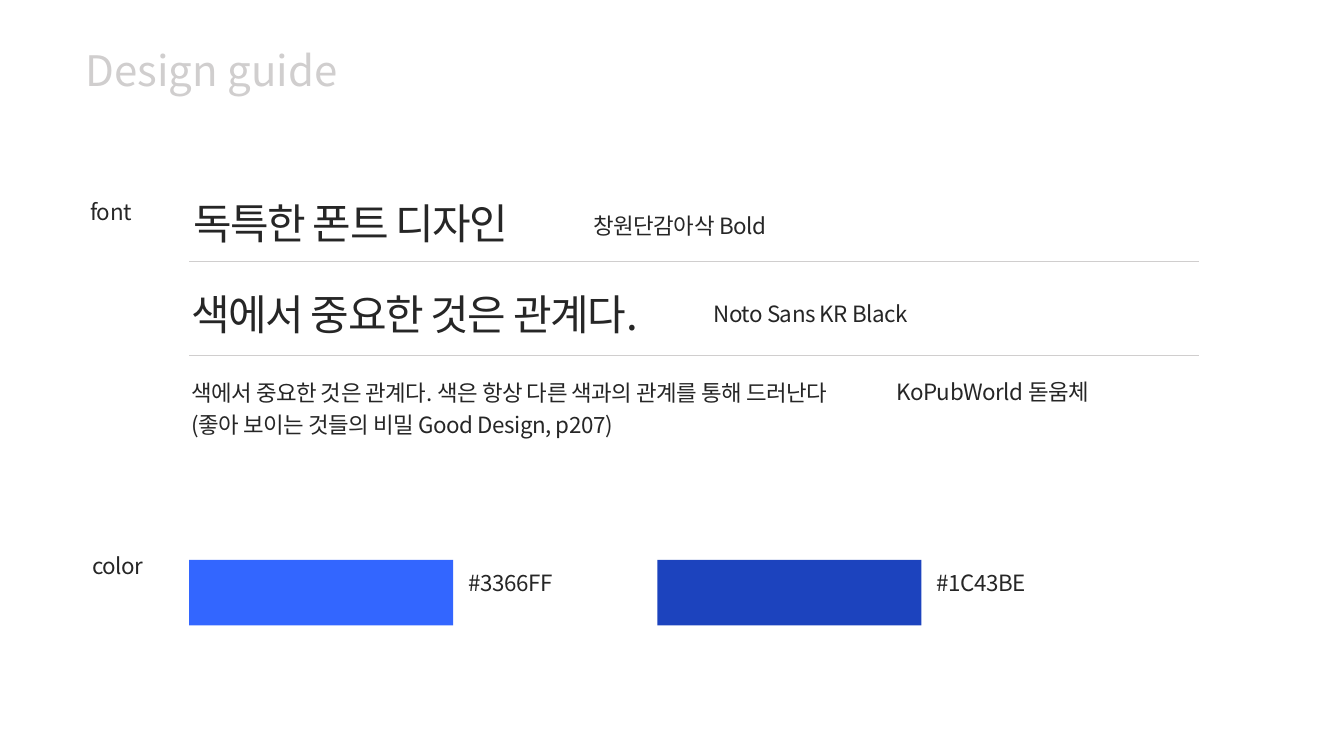
from lxml import etree
from pptx import Presentation, util as u
from pptx.dml.color import RGBColor
from pptx.enum import shapes, text
from pptx.oxml.ns import qn

FACE = "Noto Sans CJK KR"
INK, PALE = "262626", "D0CECE"
LEFT, RIGHT = 4.77, 30.22

TITLE = "Design guide"
# left, top, width, height in cm, then lines
HEADS = [
    (4.62, 4.72, 12.6, 1.6, ["독특한 폰트 디자인"]),
    (4.57, 7.01, 12.6, 1.6, ["색에서 중요한 것은 관계다."]),
]
NOTES = [
    (2.03, 4.73, 2.2, 0.9, ["font"]),
    (2.08, 13.66, 2.2, 0.9, ["color"]),
    (14.71, 5.08, 5.6, 0.9, ["창원단감아삭 Bold"]),
    (17.73, 7.31, 5.6, 0.9, ["Noto Sans KR Black"]),
    (22.34, 9.27, 6, 0.9, ["KoPubWorld 돋움체"]),
    (4.57, 9.3, 17.7, 2.08, [
        "색에서 중요한 것은 관계다. 색은 항상 다른 색과의 관계를 통해 드러난다",
        "(좋아 보이는 것들의 비밀 Good Design, p207)",
    ]),
]
RULES = [6.59, 8.95]
COLORS = ["3366FF", "1C43BE"]
STEP, TOP, WIDE, HIGH = 11.8, 14.11, 6.65, 1.65


def rgb(code):
    return RGBColor.from_string(code)


def place(shape, *box):
    shape.left, shape.top, shape.width, shape.height = map(u.Cm, box)


def write(frame, lines, size, color, lead, track=0):
    """Fill a frame, one paragraph a line; track is letter spacing in points."""
    frame.text = "\n".join(lines)
    frame.word_wrap = True
    frame.auto_size = text.MSO_AUTO_SIZE.NONE
    for para in frame.paragraphs:
        para.alignment = text.PP_ALIGN.LEFT
        para.line_spacing = lead
        font = para.font
        font.size = u.Pt(size)
        font.color.rgb = rgb(color)
        font.name = FACE
        props = para._p.pPr.find(qn("a:defRPr"))
        props.set("spc", str(round(track * 100)))
        etree.SubElement(props, qn("a:ea")).set("typeface", FACE)


def label(slide, left, top, wide, high, lines, size, lead, track):
    box = slide.shapes.add_textbox(*map(u.Cm, (left, top, wide, high)))
    write(box.text_frame, lines, size, INK, lead, track)


def swatch(slide, left, color):
    box = slide.shapes.add_shape(shapes.MSO_SHAPE.RECTANGLE,
                                 *map(u.Cm, (left, TOP, WIDE, HIGH)))
    box.shadow.inherit = False
    box.fill.solid()
    box.fill.fore_color.rgb = rgb(color)
    box.line.fill.background()


def rule(slide, top):
    line = slide.shapes.add_connector(shapes.MSO_CONNECTOR.STRAIGHT,
                                      *map(u.Cm, (LEFT, top, RIGHT, top)))
    line.line.color.rgb = rgb(PALE)
    line.line.width = u.Pt(0.5)
    etree.SubElement(line._element.spPr, qn("a:effectLst"))


def main():
    deck = Presentation()
    deck.slide_width, deck.slide_height = u.Cm(33.87), u.Cm(19.05)
    slide = deck.slides.add_slide(deck.slide_layouts[5])

    title = slide.shapes.title
    place(title, 1.9, 0.76, 16.13, 1.88)
    write(title.text_frame, [TITLE], 30, PALE, 1.1)
    title.text_frame.vertical_anchor = text.MSO_ANCHOR.MIDDLE

    for item in HEADS:
        label(slide, *item, 30, 1.1, -1)
    for item in NOTES:
        label(slide, *item, 16, 1.2, -0.3)
    for top in RULES:
        rule(slide, top)
    for num, color in enumerate(COLORS):
        left = LEFT + num * STEP
        swatch(slide, left, color)
        label(slide, left + WIDE + 0.14, TOP - 0.04, 5.6, 0.9,
              ["#" + color], 16, 1.2, -0.3)

    deck.save("out.pptx")


if __name__ == "__main__":
    main()
